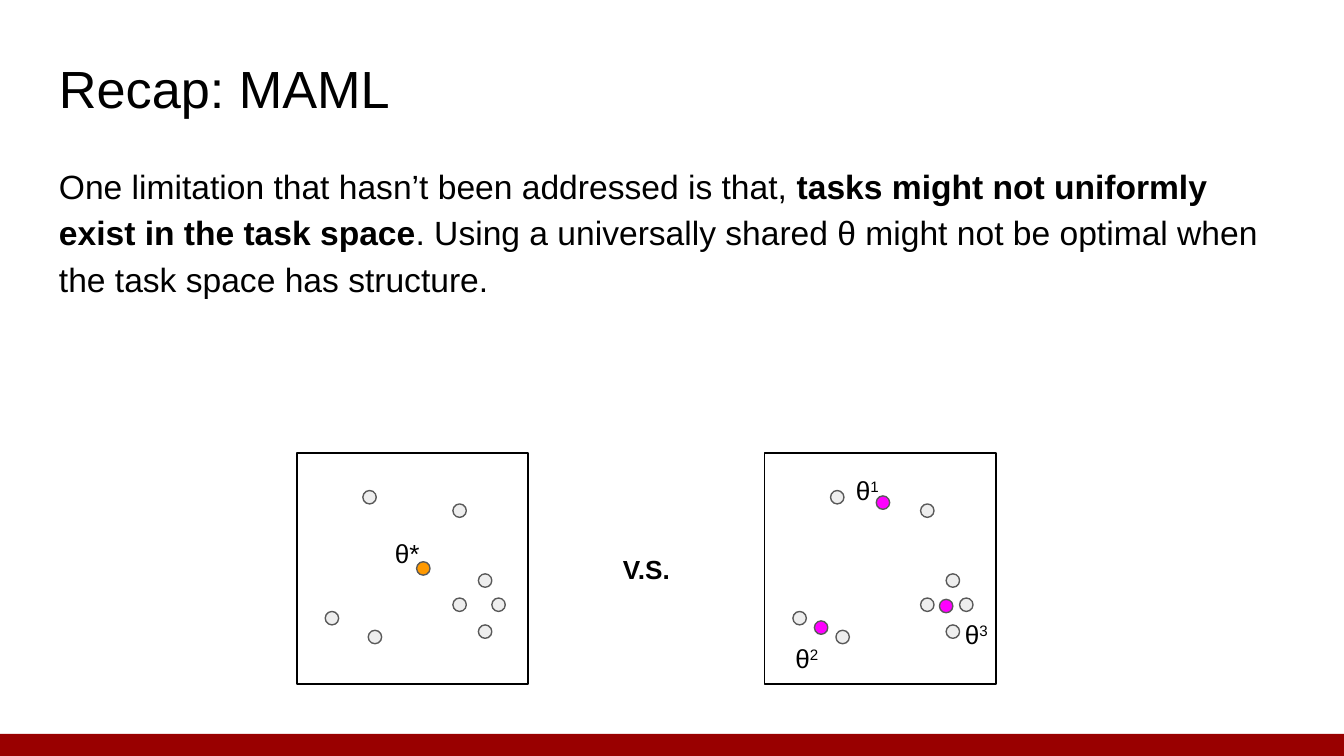
from dataclasses import dataclass

from pptx import Presentation
from pptx.dml.color import RGBColor
from pptx.enum.shapes import MSO_SHAPE
from pptx.enum.text import MSO_ANCHOR, PP_ALIGN
from pptx.util import Inches, Pt

RECT, OVAL = MSO_SHAPE.RECTANGLE, MSO_SHAPE.OVAL
LEFT, CENTER = PP_ALIGN.LEFT, PP_ALIGN.CENTER
TOP = MSO_ANCHOR.TOP

# Grid: a 16:9 slide, 1000 columns of square cells wide
CELL = Inches(0.01)
COLS = 1000
ROWS = COLS * 9 / 16
PANEL_SIDE, DOT_SIDE = 172, 10
PANEL_ROW = 337
BAR_ROW = 546


@dataclass(frozen=True)
class Theme:
    font: str = "Arial"
    text: str = "000000"
    bar: str = "990000"
    task: str = "EEEEEE"
    outline: str = "595959"
    shared: str = "FF9900"
    cluster: str = "FF00FF"
    title_size: int = 28
    body_size: int = 18
    label_size: int = 14
    line_width: float = 0.75


@dataclass(frozen=True)
class Box:
    col: float
    row: float
    cols: float
    rows: float

    def emu(self) -> tuple[int, ...]:
        return tuple(int(n * CELL) for n in (self.col, self.row, self.cols, self.rows))


@dataclass(frozen=True)
class Run:
    text: str
    bold: bool = False
    raised: bool = False


@dataclass(frozen=True)
class Theta:
    """A parameter dot and its label, in cells from the panel's corner."""
    dot: tuple[int, int]
    label: tuple[int, int]
    label_cols: int
    runs: tuple[Run, ...]


@dataclass(frozen=True)
class Panel:
    col: int
    color: str
    thetas: tuple[Theta, ...]


THEME = Theme()

# Task positions shared by both panels, in cells from the panel's corner
TASKS = ((49, 28), (21, 118), (53, 132), (116, 108),
         (135, 90), (145, 108), (116, 38), (135, 128))


def numbered(dot: tuple[int, int], label: tuple[int, int], number: str) -> Theta:
    return Theta(dot, label, 39, (Run("θ"), Run(number, raised=True)))


SHARED = Panel(221, THEME.shared, (
    Theta((89, 81), (63, 53), 43, (Run("θ*"),)),
))
CLUSTERED = Panel(569, THEME.cluster, (
    numbered((83, 32), (58, 6), "1"),
    numbered((37, 125), (13, 131), "2"),
    numbered((130, 109), (139, 113), "3"),
))


def add_shape(shapes, kind: MSO_SHAPE, box: Box,
              fill: str | None = None, line: str | None = None) -> None:
    sp = shapes.add_shape(kind, *box.emu())
    sp.shadow.inherit = False
    if fill:
        sp.fill.solid()
        sp.fill.fore_color.rgb = RGBColor.from_string(fill)
    else:
        sp.fill.background()
    if line:
        sp.line.color.rgb = RGBColor.from_string(line)
        sp.line.width = Pt(THEME.line_width)
    else:
        sp.line.fill.background()


def add_text(shapes, box: Box, runs: tuple[Run, ...], size: int,
             align: PP_ALIGN = LEFT, spacing: float = 1.0) -> None:
    tf = shapes.add_textbox(*box.emu()).text_frame
    tf.word_wrap = True
    tf.vertical_anchor = TOP
    tf.margin_left = tf.margin_right = Inches(0.1)
    tf.margin_top = tf.margin_bottom = Inches(0.1)
    p = tf.paragraphs[0]
    p.alignment = align
    p.line_spacing = spacing
    for run in runs:
        r = p.add_run()
        r.text = run.text
        r.font.name = THEME.font
        r.font.size = Pt(size)
        r.font.bold = run.bold
        r.font.color.rgb = RGBColor.from_string(THEME.text)
        if run.raised:
            r.font._element.set("baseline", "30000")


def add_panel(shapes, panel: Panel) -> None:
    group = shapes.add_group_shape().shapes

    def place(at: tuple[int, int], cols: int, rows: int) -> Box:
        return Box(panel.col + at[0], PANEL_ROW + at[1], cols, rows)

    add_shape(group, RECT, place((0, 0), PANEL_SIDE, PANEL_SIDE), line=THEME.text)
    dots = [(at, THEME.task) for at in TASKS]
    dots += [(theta.dot, panel.color) for theta in panel.thetas]
    for at, color in dots:
        add_shape(group, OVAL, place(at, DOT_SIDE, DOT_SIDE), color, THEME.outline)
    for theta in panel.thetas:
        add_text(group, place(theta.label, theta.label_cols, 29),
                 theta.runs, THEME.label_size)


def main() -> None:
    prs = Presentation()
    prs.slide_width, prs.slide_height = COLS * CELL, int(ROWS * CELL)
    shapes = prs.slides.add_slide(prs.slide_layouts[6]).shapes

    # Footer bar
    add_shape(shapes, RECT, Box(0, BAR_ROW, COLS, ROWS - BAR_ROW), THEME.bar)

    # Title and body
    add_text(shapes, Box(34, 32, 932, 63), (Run("Recap: MAML"),), THEME.title_size)
    add_text(shapes, Box(34, 109, 932, 210), (
        Run("One limitation that hasn’t been addressed is that, "),
        Run("tasks might not uniformly exist in the task space", bold=True),
        Run(". Using a universally shared θ might not be optimal when "
            "the task space has structure."),
    ), THEME.body_size, spacing=1.15)

    # Comparison of the two task spaces
    add_panel(shapes, SHARED)
    add_text(shapes, Box(418, 402, 126, 40), (Run("V.S.", bold=True),),
             THEME.label_size, CENTER)
    add_panel(shapes, CLUSTERED)

    prs.save("out.pptx")


if __name__ == "__main__":
    main()
